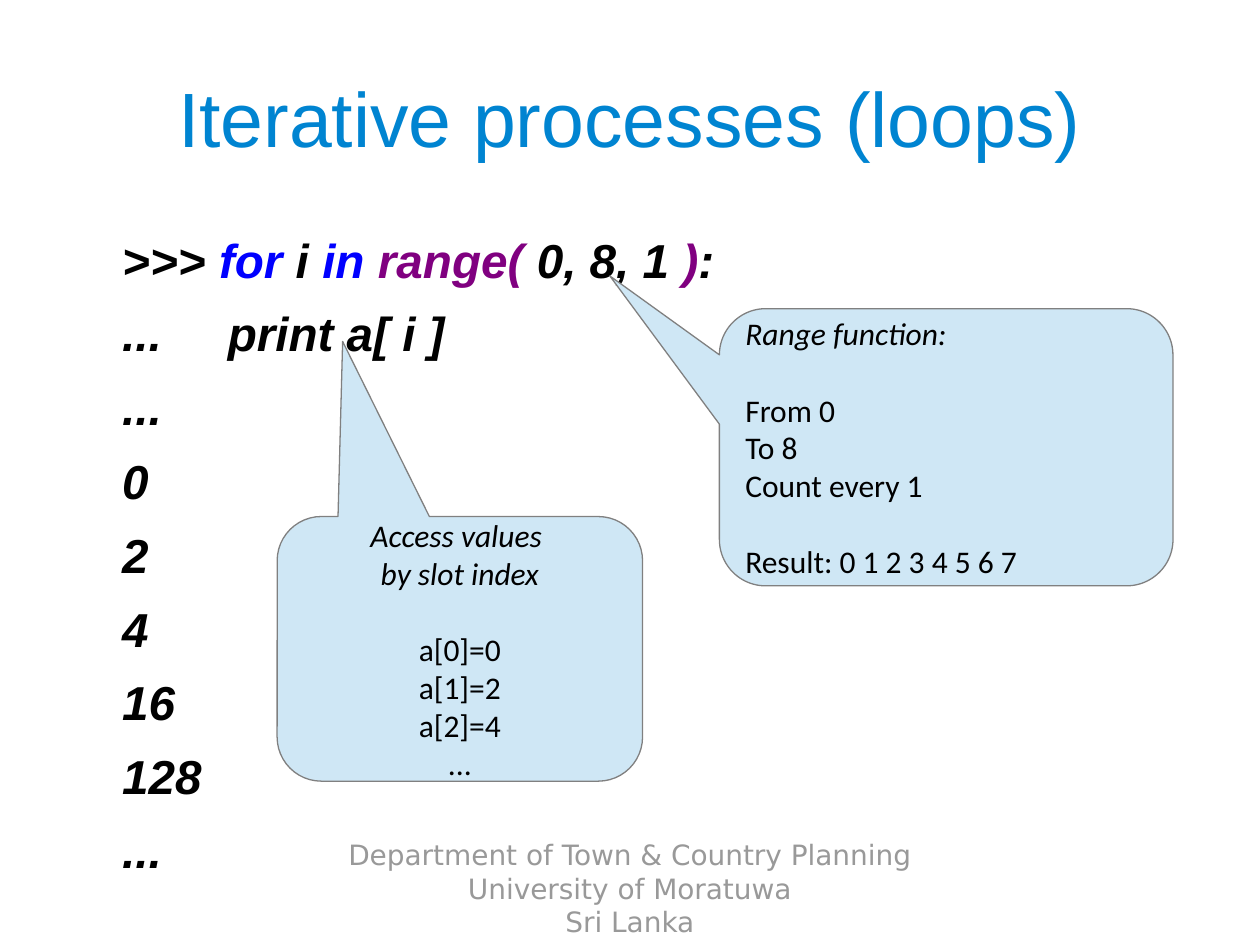
from lxml import etree
from pptx import Presentation
from pptx.dml.color import RGBColor
from pptx.enum.shapes import MSO_SHAPE
from pptx.enum.text import MSO_ANCHOR, MSO_AUTO_SIZE, PP_ALIGN
from pptx.oxml.ns import qn
from pptx.util import Inches, Pt

CALLOUT = MSO_SHAPE.ROUNDED_RECTANGULAR_CALLOUT
LEFT, CENTER = PP_ALIGN.LEFT, PP_ALIGN.CENTER
TOP, MIDDLE = MSO_ANCHOR.TOP, MSO_ANCHOR.MIDDLE
NO_FIT = MSO_AUTO_SIZE.NONE

BLACK = RGBColor(0x00, 0x00, 0x00)
HEADING_BLUE = RGBColor(0x00, 0x84, 0xD1)
KEYWORD_BLUE = RGBColor(0x00, 0x00, 0xFF)
FUNCTION_PURPLE = RGBColor(0x80, 0x00, 0x80)
FOOTER_GREY = RGBColor(0x99, 0x99, 0x99)
BUBBLE_FILL = RGBColor(0xCF, 0xE7, 0xF5)
BUBBLE_EDGE = RGBColor(0x80, 0x80, 0x80)

LOOP_HEADER = [
    (">>> ", BLACK), ("for", KEYWORD_BLUE), (" i ", BLACK), ("in ", KEYWORD_BLUE),
    ("range(", FUNCTION_PURPLE), (" 0, 8, 1 ", BLACK), (")", FUNCTION_PURPLE), (":", BLACK),
]
SESSION = [LOOP_HEADER, "...     print a[ i ]", "...", "0", "2", "4", "16", "128", "..."]
RANGE_NOTE = [["Range function:"], ["From 0", "To 8", "Count every 1"], ["Result: 0 1 2 3 4 5 6 7"]]
INDEX_NOTE = [["Access values ", "by slot index"], ["a[0]=0", "a[1]=2", "a[2]=4", "..."]]
DEPARTMENT = ["Department of Town & Country Planning", "University of Moratuwa", "Sri Lanka"]


def write(frame, groups, font="Arial", size=18, color=BLACK, bold=False, italic=False,
          lead_italic=False, align=LEFT, anchor=TOP, line_gap=0, group_gap=0, indent=None):
    frame.word_wrap = True
    frame.auto_size = NO_FIT
    frame.vertical_anchor = anchor
    first = True
    for group_number, group in enumerate(groups):
        for line_number, line in enumerate(group):
            paragraph = frame.paragraphs[0] if first else frame.add_paragraph()
            gap = line_gap if line_number else group_gap
            paragraph.space_before = Pt(0 if first else gap)
            paragraph.alignment = align
            if indent is not None:
                properties = paragraph._p.get_or_add_pPr()
                properties.set("marL", str(Inches(indent)))
                properties.set("indent", "0")
                etree.SubElement(properties, qn("a:buNone"))
            pieces = [(line, color)] if isinstance(line, str) else line
            for text, piece_color in pieces:
                run = paragraph.add_run()
                run.text = text
                run.font.name = font
                run.font.size = Pt(size)
                run.font.bold = bold
                run.font.italic = italic or (lead_italic and group_number == 0)
                run.font.color.rgb = piece_color
            first = False


def place(part, box):
    part.left, part.top, part.width, part.height = (Inches(length) for length in box)


def add_heading(slide, box):
    heading = slide.shapes.title
    place(heading, box)
    write(heading.text_frame, [["Iterative processes (loops)"]], size=44,
          color=HEADING_BLUE, align=CENTER, anchor=MIDDLE)


def add_session(slide, box):
    session = slide.placeholders[1]
    place(session, box)
    write(session.text_frame, [SESSION], size=27.2, bold=True, italic=True,
          line_gap=9.5, indent=0.37)


def add_callout(slide, box, tip, note, align):
    left, top, width, height = box
    bubble = slide.shapes.add_shape(CALLOUT, *(Inches(length) for length in box))
    bubble.adjustments[0] = (tip[0] - left) / width - 0.5
    bubble.adjustments[1] = (tip[1] - top) / height - 0.5
    bubble.adjustments[2] = 0.167
    bubble.shadow.inherit = False
    bubble.fill.solid()
    bubble.fill.fore_color.rgb = BUBBLE_FILL
    bubble.line.color.rgb = BUBBLE_EDGE
    bubble.line.width = Pt(0)
    write(bubble.text_frame, note, font="Calibri", lead_italic=True, align=align,
          anchor=MIDDLE, group_gap=22)


def add_department(slide, box):
    department = slide.shapes.add_textbox(*(Inches(length) for length in box))
    write(department.text_frame, [DEPARTMENT], font="DejaVu Sans", size=16,
          color=FOOTER_GREY, align=CENTER)


def main():
    deck = Presentation()
    deck.slide_width, deck.slide_height = Inches(10), Inches(7.5)
    slide = deck.slides.add_slide(deck.slide_layouts[1])
    add_department(slide, (0, 6.6, 10, 0.9))
    add_heading(slide, (0.5, 0.3, 9, 1.25))
    add_session(slide, (0.5, 1.78, 9, 4.35))
    add_callout(slide, (5.71, 2.45, 3.6, 2.2), (4.84, 2.19), RANGE_NOTE, LEFT)
    add_callout(slide, (2.2, 4.1, 2.9, 2.1), (2.72, 2.71), INDEX_NOTE, CENTER)
    deck.save("out.pptx")


if __name__ == "__main__":
    main()
